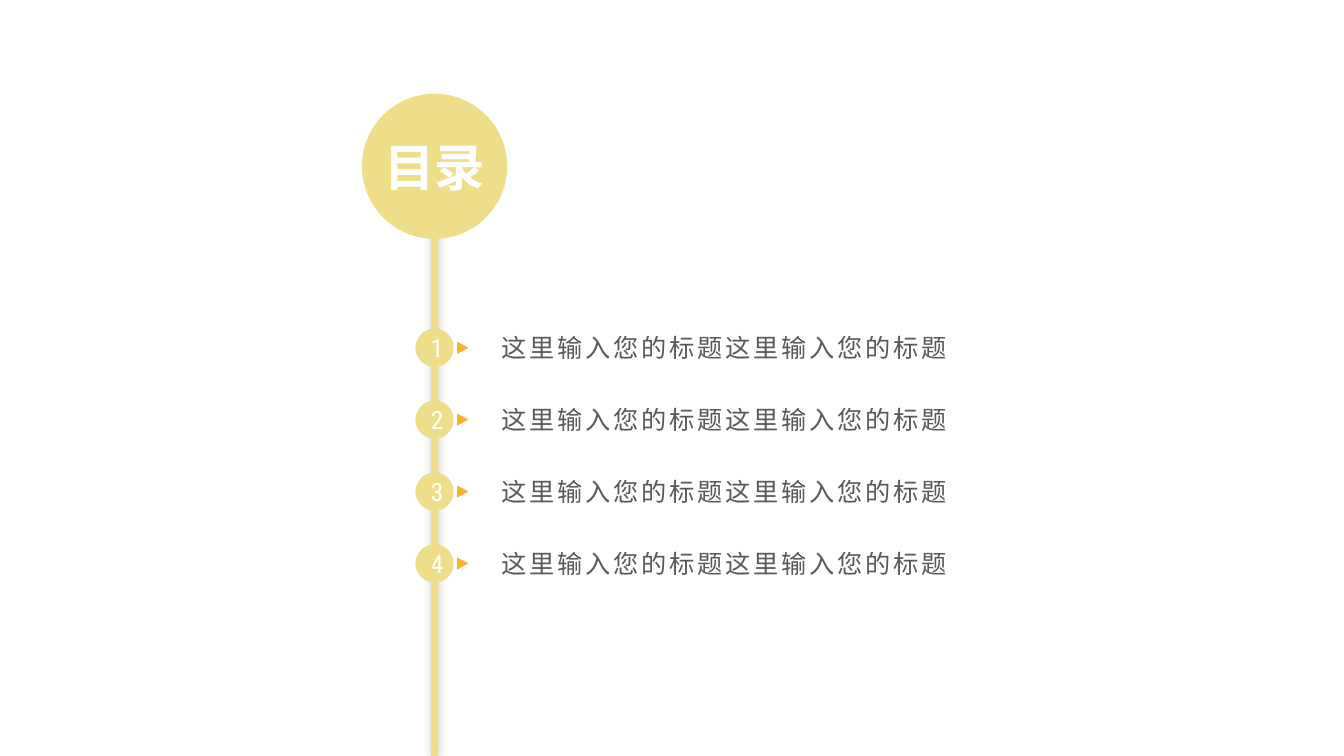
from dataclasses import dataclass
from typing import Optional

from lxml.etree import SubElement
from pptx import Presentation
from pptx.dml.color import RGBColor
from pptx.enum.shapes import MSO_SHAPE
from pptx.enum.text import MSO_ANCHOR, PP_ALIGN
from pptx.oxml.ns import qn
from pptx.util import Inches, Pt

COL = ROW = Inches(0.1)
SAND, ORANGE, WHITE, GREY = "EEDD89", "FCB032", "FFFFFF", "595959"
SPINE_X = 43.1
FIRST_ROW, LAST_ROW = 34.5, 55.9
NO_INSETS = dict.fromkeys(
    ("margin_left", "margin_top", "margin_right", "margin_bottom"), 0)


@dataclass(frozen=True)
class Box:
    cx: float
    cy: float
    w: float
    h: float

    def emu(self) -> tuple[int, int, int, int]:
        return (round((self.cx - self.w / 2) * COL), round((self.cy - self.h / 2) * ROW),
                round(self.w * COL), round(self.h * ROW))


@dataclass(frozen=True)
class Label:
    text: str
    color: str
    font: str = "Roboto Condensed"
    size: int = 18
    bold: bool = False
    spacing: int = 0
    align: PP_ALIGN = PP_ALIGN.CENTER
    insets: bool = False


def rgb(value: str) -> RGBColor:
    return RGBColor.from_string(value)


def write(sp, label: Label) -> None:
    tf = sp.text_frame
    frame = {"word_wrap": True, "vertical_anchor": MSO_ANCHOR.MIDDLE}
    if not label.insets:
        frame |= NO_INSETS
    for name, value in frame.items():
        setattr(tf, name, value)
    p = tf.paragraphs[0]
    p.alignment = label.align
    r = p.add_run()
    r.text = label.text
    for name, value in {"name": label.font, "size": Pt(label.size),
                        "bold": label.bold}.items():
        setattr(r.font, name, value)
    r.font.color.rgb = rgb(label.color)
    rPr = r.font._element
    SubElement(rPr, qn("a:ea"), typeface=label.font)
    if label.spacing:
        rPr.set("spc", str(label.spacing * 100))


def add_figure(s, kind: MSO_SHAPE, box: Box, color: str,
               label: Optional[Label] = None, rotation: float = 0):
    sp = s.shapes.add_shape(kind, *box.emu())
    sp.shadow.inherit = False
    sp.fill.solid()
    sp.fill.fore_color.rgb = rgb(color)
    sp.line.fill.background()
    sp.rotation = rotation
    if label:
        write(sp, label)
    return sp


def add_soft_shadow(sp) -> None:
    effects = sp._element.spPr.find(qn("a:effectLst"))
    shadow = SubElement(effects, qn("a:outerShdw"), blurRad=str(Pt(6)), dist="0",
                        dir=str(225 * 60000), algn="ctr", rotWithShape="0")
    color = SubElement(shadow, qn("a:srgbClr"), val="000000")
    SubElement(color, qn("a:alpha"), val="20000")


def main() -> None:
    prs = Presentation()
    prs.slide_width, prs.slide_height = Inches(13.33), Inches(7.5)
    s = prs.slides.add_slide(prs.slide_layouts[6])

    spine = add_figure(s, MSO_SHAPE.RECTANGLE, Box(SPINE_X, 42.7, 0.75, 64.6), SAND)
    add_soft_shadow(spine)
    add_figure(s, MSO_SHAPE.OVAL, Box(SPINE_X, 16.5, 14.4, 14.4), SAND,
               Label("目录", WHITE, "Noto Sans CJK SC", 36, True))

    titles = ["这里输入您的标题这里输入您的标题"] * 4
    pitch = (LAST_ROW - FIRST_ROW) / (len(titles) - 1)
    for i, title in enumerate(titles):
        cy = FIRST_ROW + i * pitch
        add_figure(s, MSO_SHAPE.OVAL, Box(SPINE_X, cy, 3.8, 3.8), SAND,
                   Label(str(i + 1), WHITE, insets=True))
        add_figure(s, MSO_SHAPE.ISOSCELES_TRIANGLE, Box(45.9, cy, 1.2, 1.1), ORANGE,
                   rotation=90)
        tb = s.shapes.add_textbox(*Box(78.9, cy, 58.4, 4.8).emu())
        write(tb, Label(title, GREY, spacing=2, align=PP_ALIGN.LEFT))

    prs.save("out.pptx")


if __name__ == "__main__":
    main()
